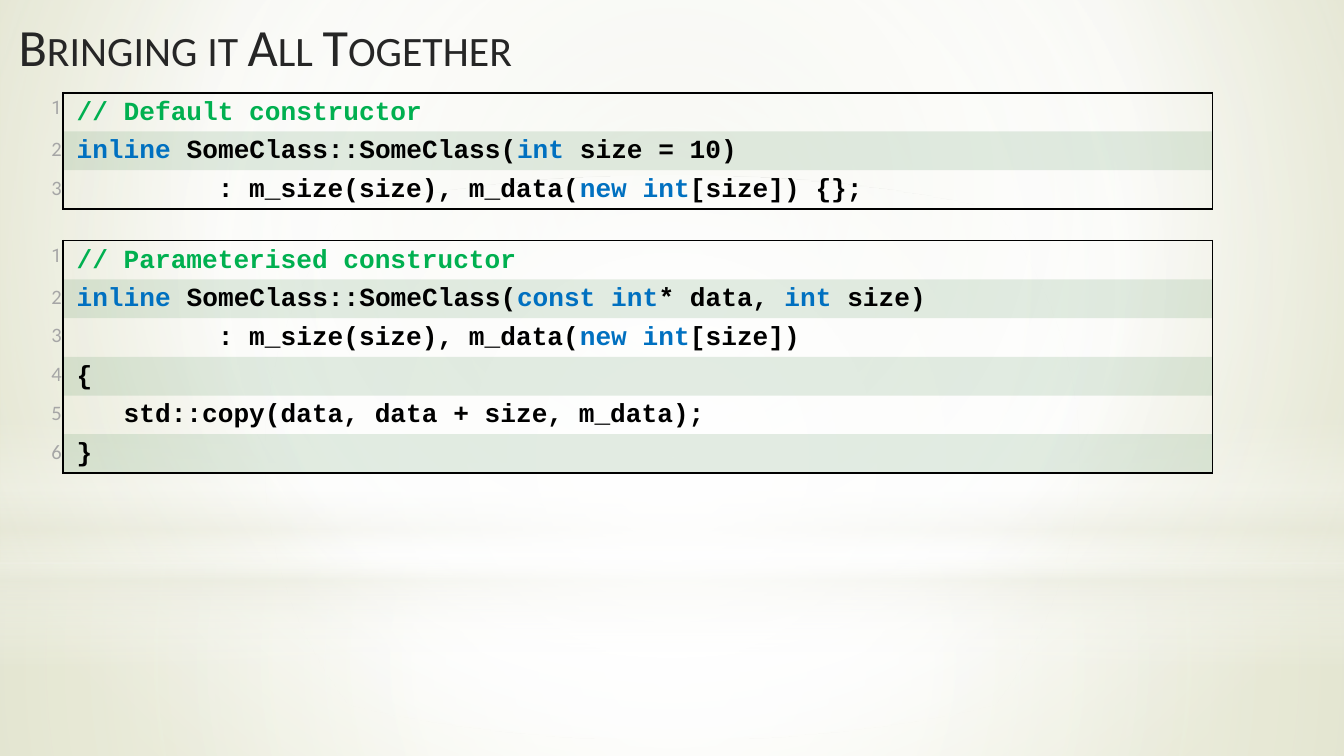
from lxml import etree
from pptx import Presentation
from pptx.dml.color import RGBColor
from pptx.enum.shapes import MSO_SHAPE
from pptx.enum.text import MSO_ANCHOR, PP_ALIGN
from pptx.oxml.ns import qn
from pptx.util import Inches, Pt

RECTANGLE, OVAL = MSO_SHAPE.RECTANGLE, MSO_SHAPE.OVAL
RIGHT, TOP = PP_ALIGN.RIGHT, MSO_ANCHOR.TOP

BLACK = RGBColor(0x00, 0x00, 0x00)
DARK = RGBColor(0x26, 0x26, 0x26)
GRAY = RGBColor(0xA6, 0xA6, 0xA6)
GREEN = RGBColor(0x00, 0xB0, 0x50)
BLUE = RGBColor(0x00, 0x70, 0xC0)
BAND = RGBColor(0x72, 0xA3, 0x76)
WHITE = RGBColor(0xFF, 0xFF, 0xFF)
CREAM = RGBColor(0xEA, 0xEB, 0xDE)
SAGE = RGBColor(0xE3, 0xE5, 0xD1)
OLIVE = RGBColor(0xCC, 0xD0, 0x9F)

TITLE = "Bringing it All Together"

# Each listing: top, then lines of (text, colour) spans
LISTINGS = [
    (0.69, [
        [("// Default constructor", GREEN)],
        [("inline ", BLUE), ("SomeClass::SomeClass(", BLACK), ("int", BLUE),
         (" size = 10)", BLACK)],
        [("         : m_size(size), m_data(", BLACK), ("new int", BLUE),
         ("[size]) {};", BLACK)],
    ]),
    (1.79, [
        [("// Parameterised constructor", GREEN)],
        [("inline ", BLUE), ("SomeClass::SomeClass(", BLACK), ("const int", BLUE),
         ("* data, ", BLACK), ("int", BLUE), (" size)", BLACK)],
        [("         : m_size(size), m_data(", BLACK), ("new int", BLUE),
         ("[size])", BLACK)],
        [("{", BLACK)],
        [("   std::copy(data, data + size, m_data);", BLACK)],
        [("}", BLACK)],
    ]),
]

# Gradient stops: position, colour, opacity in percent
CENTER = (50, 50, 50, 50)
BACKDROP = [(0, SAGE, 100), (60, WHITE, 100), (100, OLIVE, 100)]
GLOWS = [
    (RECTANGLE, (0, 4.19, 10, 1.44), CENTER,
     [(0, WHITE, 91), (37, WHITE, 76), (100, CREAM, 79)]),
    (RECTANGLE, (0, 0, 10, 4.19), CENTER,
     [(0, WHITE, 89), (48, WHITE, 62), (100, CREAM, 79)]),
    (RECTANGLE, (0, 3.09, 10, 1.88), None,
     [(0, WHITE, 0), (29, WHITE, 30), (45, CREAM, 40), (55, WHITE, 26),
      (65, CREAM, 60), (100, WHITE, 0)]),
    (OVAL, (0, 1.31, 10, 4.19), CENTER, [(0, WHITE, 100), (56, WHITE, 0)]),
]

TABLE_LEFT, COLUMNS, LINE_HEIGHT = -0.31, (0.78, 8.55), 0.29
CELL_INSET, CODE_INDENT = 0.01, 0.09
NO_STYLE = "{2D5ABB26-0587-4C30-8999-92F81FD0307C}"


def add_color(parent, color, opacity=100):
    node = etree.SubElement(parent, qn("a:srgbClr"), val=str(color))
    if opacity < 100:
        etree.SubElement(node, qn("a:alpha"), val=str(opacity * 1000))


def set_gradient(fill, owner, stops, focus):
    """Fill with a circular gradient around focus, or a vertical one without it."""
    fill.gradient()
    gradient = owner.find(".//" + qn("a:gradFill"))
    for child in list(gradient):
        gradient.remove(child)
    stop_list = etree.SubElement(gradient, qn("a:gsLst"))
    for position, color, opacity in stops:
        stop = etree.SubElement(stop_list, qn("a:gs"), pos=str(position * 1000))
        add_color(stop, color, opacity)
    if focus:
        circle = etree.SubElement(gradient, qn("a:path"), path="circle")
        edges = {side: str(value * 1000) for side, value in zip("ltrb", focus)}
        etree.SubElement(circle, qn("a:fillToRect"), **edges)
    else:
        etree.SubElement(gradient, qn("a:lin"), ang="5400000", scaled="0")


def write(para, text, *, size, font, color, bold=False, small_caps=False):
    span = para.add_run()
    span.text = text
    span.font.size, span.font.name, span.font.bold = Pt(size), font, bold
    span.font.color.rgb = color
    if small_caps:
        span.font._element.set("cap", "small")


def format_cell(cell, sides, banded=False):
    """Set insets, band fill and the black borders named in sides (of LRTB)."""
    cell.margin_left = cell.margin_right = Inches(CELL_INSET)
    cell.margin_top = cell.margin_bottom = Inches(CELL_INSET)
    properties = cell._tc.get_or_add_tcPr()
    if banded:
        cell.fill.solid()
        cell.fill.fore_color.rgb = BAND
        color = properties.find(".//" + qn("a:srgbClr"))
        etree.SubElement(color, qn("a:alpha"), val="20000")
    else:
        cell.fill.background()
    for index, side in enumerate("LRTB"):
        line = etree.Element(qn("a:ln" + side), w=str(Pt(1)))
        if side in sides:
            add_color(etree.SubElement(line, qn("a:solidFill")), BLACK)
        else:
            etree.SubElement(line, qn("a:noFill"))
        properties.insert(index, line)


def add_listing(page, top, lines):
    height = Inches(LINE_HEIGHT * len(lines))
    frame = page.shapes.add_table(
        len(lines), 2, Inches(TABLE_LEFT), Inches(top),
        Inches(sum(COLUMNS)), height)
    table = frame.table
    table.first_row = table.horz_banding = False
    table._tbl.tblPr.find(qn("a:tableStyleId")).text = NO_STYLE
    for column, width in zip(table.columns, COLUMNS):
        column.width = Inches(width)

    for index, spans in enumerate(lines):
        table.rows[index].height = 0  # grows to fit the text
        number, code = table.cell(index, 0), table.cell(index, 1)
        first, last = index == 0, index == len(lines) - 1
        format_cell(number, "R")
        format_cell(code, "LR" + "T" * first + "B" * last, banded=index % 2 == 1)

        para = number.text_frame.paragraphs[0]
        para.alignment, para.line_spacing = RIGHT, 1.15
        write(para, str(index + 1), size=10 if first else 11,
              font="Roboto" if first else "Calibri", color=GRAY)

        para = code.text_frame.paragraphs[0]
        para.line_spacing = 1.15
        indent = para._p.get_or_add_pPr()
        indent.set("marL", str(Inches(CODE_INDENT)))
        indent.set("indent", "0")
        for text, color in spans:
            write(para, text, size=14, font="Courier New", color=color, bold=True)
    frame.height = height


def main():
    deck = Presentation()
    deck.slide_width = Inches(10)
    deck.slide_height = deck.slide_width * 9 // 16
    page = deck.slides.add_slide(deck.slide_layouts[6])
    set_gradient(page.background.fill, page._element, BACKDROP, (20, 10, 20, 60))

    for kind, place, focus, stops in GLOWS:
        glow = page.shapes.add_shape(kind, *map(Inches, place))
        glow.shadow.inherit = False
        glow.line.fill.background()
        set_gradient(glow.fill, glow._element, stops, focus)

    box = page.shapes.add_textbox(*map(Inches, (0.04, 0.06, 7.01, 0.63)))
    box.text_frame.word_wrap = True
    box.text_frame.vertical_anchor = TOP
    write(box.text_frame.paragraphs[0], TITLE, size=28, font="Calibri",
          color=DARK, small_caps=True)

    for top, lines in LISTINGS:
        add_listing(page, top, lines)
    deck.save("out.pptx")


if __name__ == "__main__":
    main()
